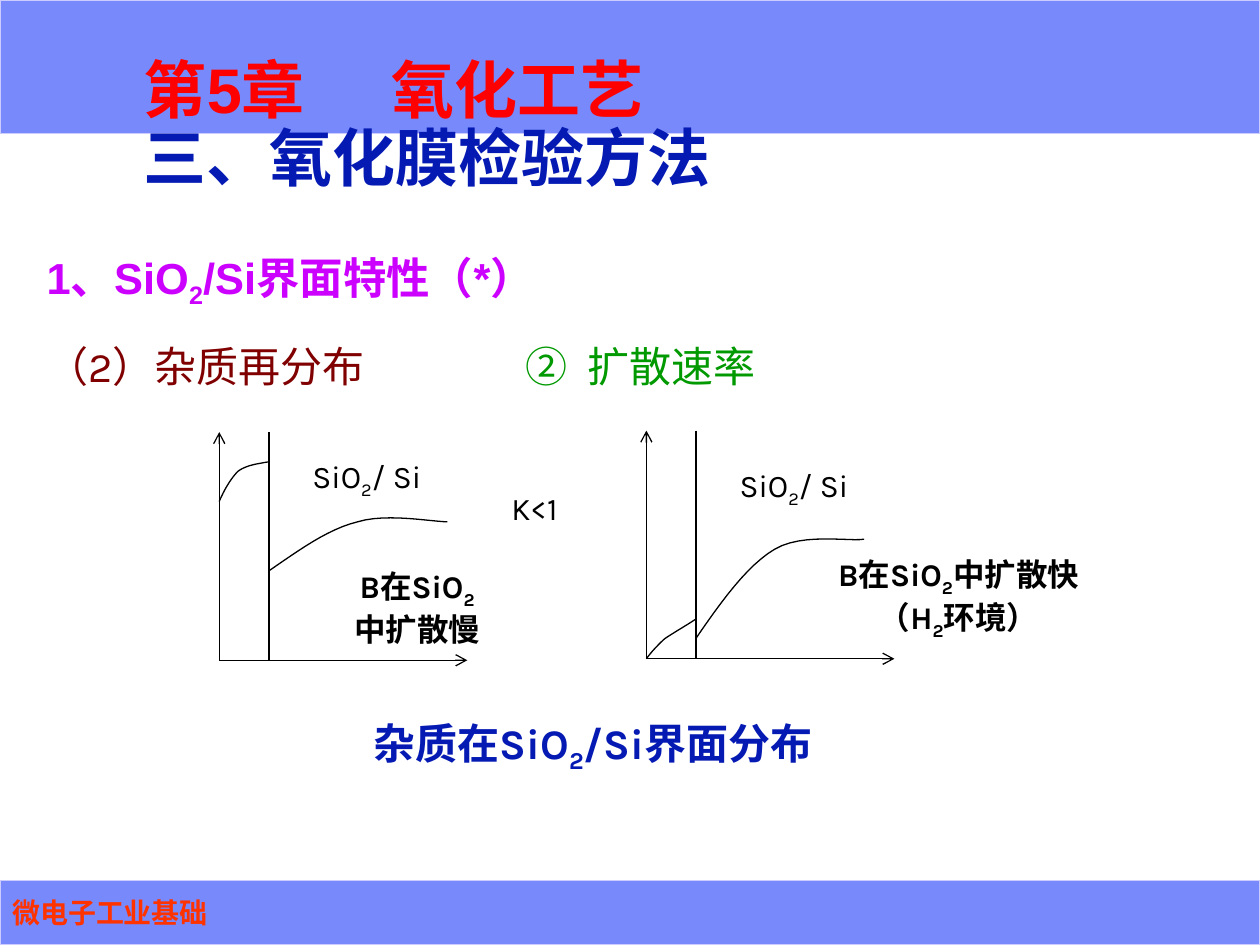
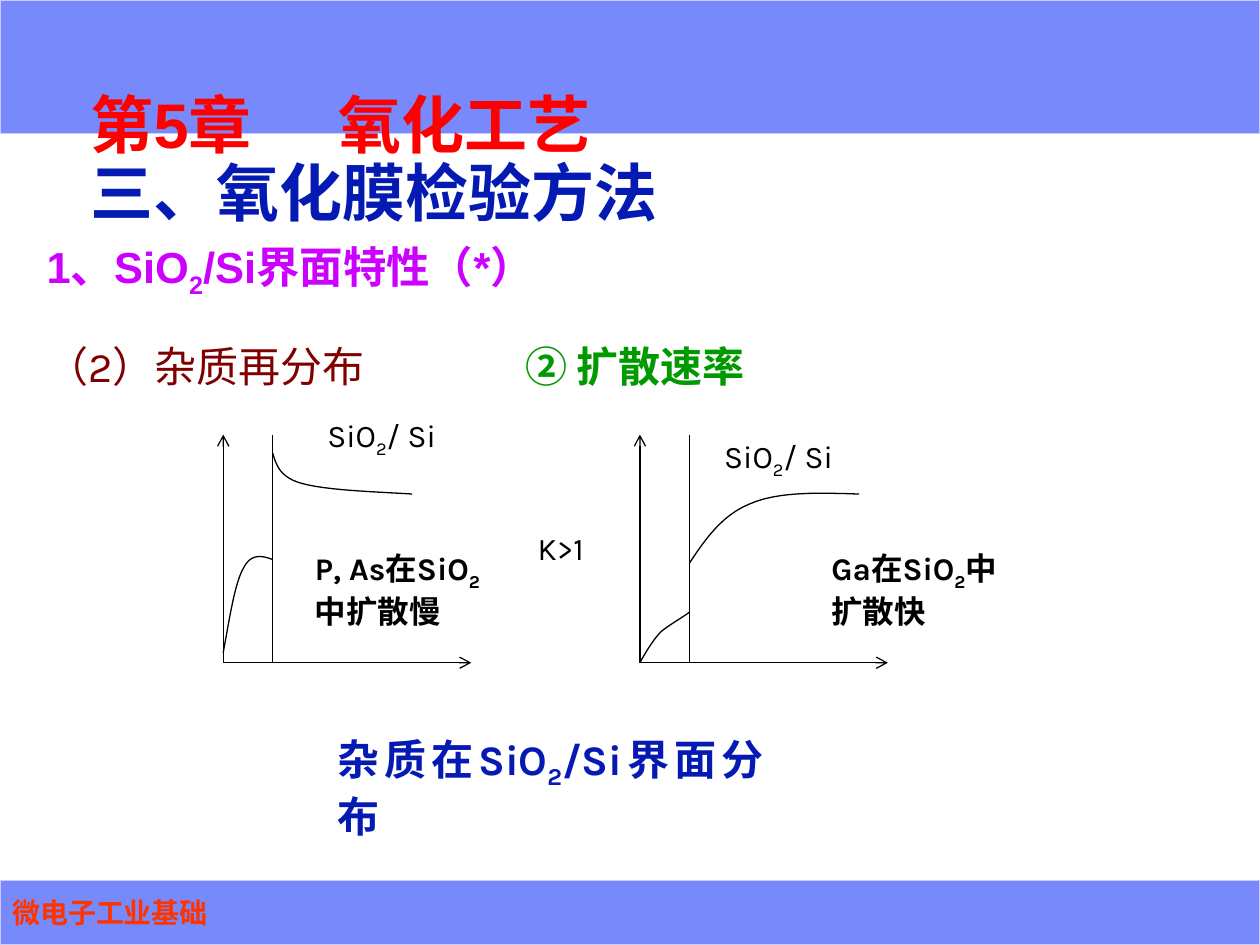
from lxml import etree
from pptx import Presentation
from pptx.dml.color import RGBColor
from pptx.enum import shapes, text
from pptx.oxml import ns
from pptx.util import Cm, Pt

BAND = RGBColor(0x78, 0x89, 0xFB)
BAND_EDGE = RGBColor(0xCC, 0xCC, 0xFF)
ORANGE = RGBColor(0xFF, 0x33, 0x00)
RED = RGBColor(0xFF, 0x00, 0x00)
NAVY = RGBColor(0x05, 0x1A, 0xB3)
PURPLE = RGBColor(0xCC, 0x00, 0xFF)
MAROON = RGBColor(0x80, 0x00, 0x00)
GREEN = RGBColor(0x00, 0x99, 0x00)
BLACK = RGBColor(0x00, 0x00, 0x00)

HEADING_FONT, BODY_FONT = "Arial", "Karla"
SLIDE_W, SLIDE_H = 25.4, 19.05
AXIS_W, AXIS_H, INTERFACE_X = 5, 4.6, 1
LINE_W = Pt(0.75)


def add_runs(p, content):
    """Add content to a paragraph, setting each ₂ as a subscript 2."""
    runs = []
    for i, part in enumerate(content.split("₂")):
        if i:
            r = p.add_run()
            r.text = "2"
            r._r.get_or_add_rPr().set("baseline", "-25000")
            runs.append(r)
        if part:
            r = p.add_run()
            r.text = part
            runs.append(r)
    return runs


def add_tabs(p, stops):
    tabs = etree.SubElement(p._p.get_or_add_pPr(), ns.qn("a:tabLst"))
    for stop in stops:
        etree.SubElement(tabs, ns.qn("a:tab"), pos=str(Cm(stop)), algn="l")


def set_font(font, size, name, color=None, bold=False):
    font.size, font.name, font.bold = Pt(size), name, bold
    if color is not None:
        font.color.rgb = color


def add_box(s, x, y, w, h):
    """Add an empty wrapping text box and return its frame and paragraph."""
    tf = s.shapes.add_textbox(Cm(x), Cm(y), Cm(w), Cm(h)).text_frame
    tf.word_wrap = True
    return tf, tf.paragraphs[0]


def add_label(s, x, y, w, h, content, size=18, color=BLACK, bold=False,
              align=text.PP_ALIGN.LEFT, font=BODY_FONT):
    tf, p = add_box(s, x, y, w, h)
    p.alignment = align
    set_font(p.font, size, font, color, bold)
    add_runs(p, content)


def add_band(s, y, h):
    sp = s.shapes.add_shape(shapes.MSO_SHAPE.RECTANGLE, 0, Cm(y), Cm(SLIDE_W), Cm(h))
    sp.shadow.inherit = False
    sp.fill.solid()
    sp.fill.fore_color.rgb = BAND
    sp.line.color.rgb = BAND_EDGE
    sp.line.width = LINE_W
    return sp


def add_bands(s):
    add_band(s, 0, 2.69)
    tf = add_band(s, 17.75, 1.3).text_frame
    tf.vertical_anchor = text.MSO_ANCHOR.MIDDLE
    p = tf.paragraphs[0]
    p.alignment = text.PP_ALIGN.LEFT
    set_font(p.font, 16, HEADING_FONT, ORANGE, True)
    add_runs(p, "微电子工业基础")


def add_title(s, x, y):
    tf, p = add_box(s, x, y, 18.95, 0.61)
    tf.vertical_anchor = text.MSO_ANCHOR.BOTTOM
    tf.margin_left = tf.margin_right = tf.margin_top = tf.margin_bottom = 0
    p.line_spacing = 0.9
    add_tabs(p, [5])
    set_font(p.font, 36, HEADING_FONT, bold=True)
    chapter = add_runs(p, "第5章\t氧化工艺")
    p.add_line_break()
    section = add_runs(p, "三、氧化膜检验方法")
    for runs, color in ((chapter, RED), (section, NAVY)):
        for r in runs:
            r.font.color.rgb = color


def add_topic(s, rate, rate_bold):
    """Add the line with the topic on the left and the rate item after a tab."""
    tf, p = add_box(s, 0.69, 6.73, 20.95, 1.27)
    add_tabs(p, [9.65, 10.9])
    set_font(p.font, 24, BODY_FONT)
    for content, color, bold in (("（2）杂质再分布\t", MAROON, False),
                                 (rate, GREEN, rate_bold)):
        for r in add_runs(p, content):
            r.font.color.rgb = color
            r.font.bold = bold


def add_line(s, x1, y1, x2, y2, arrow=False):
    c = s.shapes.add_connector(shapes.MSO_CONNECTOR.STRAIGHT,
                               Cm(x1), Cm(y1), Cm(x2), Cm(y2))
    c.line.color.rgb = BLACK
    c.line.width = LINE_W
    if arrow:
        etree.SubElement(c.line._get_or_add_ln(), ns.qn("a:tailEnd"), type="arrow")
    etree.SubElement(c._element.spPr, ns.qn("a:effectLst"))


def bezier_points(knots, steps=12):
    """Sample chained cubic Bezier segments given as start, then triples."""
    points = [knots[0]]
    for i in range(0, len(knots) - 1, 3):
        for step in range(1, steps + 1):
            t = step / steps
            weights = ((1 - t) ** 3, 3 * t * (1 - t) ** 2, 3 * t * t * (1 - t), t ** 3)
            points.append(tuple(sum(w * k[axis] for w, k in zip(weights, knots[i:i + 4]))
                                for axis in (0, 1)))
    return points


def add_curve(s, x, y, knots):
    """Draw a curve whose knots are cm right of and above the origin x, y."""
    points = [(Cm(x + dx), Cm(y - dy)) for dx, dy in bezier_points(knots)]
    builder = s.shapes.build_freeform(*points[0])
    builder.add_line_segments(points[1:], close=False)
    sp = builder.convert_to_shape()
    sp.shadow.inherit = False
    sp.fill.background()
    sp.line.color.rgb = BLACK
    sp.line.width = LINE_W


def add_plot(s, x, y, oxide, silicon):
    """Draw the axes from origin x, y, the interface and both profiles."""
    add_line(s, x, y, x + AXIS_W, y, arrow=True)
    add_line(s, x, y, x, y - AXIS_H, arrow=True)
    add_line(s, x + INTERFACE_X, y - AXIS_H, x + INTERFACE_X, y)
    add_curve(s, x, y, oxide)
    add_curve(s, x, y, silicon)


def add_base(prs, title_at, heading_y, rate, rate_bold, caption_box):
    """Start a slide with everything that both slides share."""
    s = prs.slides.add_slide(prs.slide_layouts[6])
    add_bands(s)
    add_topic(s, rate, rate_bold)
    add_label(s, *caption_box, "杂质在SiO₂/Si界面分布", 24, NAVY, True,
              text.PP_ALIGN.JUSTIFY)
    add_title(s, *title_at)
    add_label(s, 0.69, heading_y, 15.2, 1.47, "1、SiO₂/Si界面特性（*）", 24.8, PURPLE,
              True, text.PP_ALIGN.JUSTIFY, HEADING_FONT)
    return s


def add_interface_labels(s, *corners):
    for x, y in corners:
        add_label(s, x, y, 3.2, 1.12, "SiO₂/ Si")


def boron_slide(prs):
    s = add_base(prs, (2.9, 3.33), 4.93, "②\t扩散速率", False, (7.29, 14.33, 10.44, 1.42))
    add_plot(s, 4.42, 13.31,
             [(0, 3.2), (0.1, 3.43), (0.23, 3.66), (0.38, 3.81),
              (0.56, 3.94), (0.79, 3.96), (1, 4)],
             [(1, 1.8), (1.6, 2.21), (2.18, 2.64), (2.79, 2.79),
              (3.38, 2.97), (4.29, 2.79), (4.6, 2.79)])
    add_plot(s, 13.03, 13.28,
             [(0, 0), (0.1, 0.13), (0.23, 0.28), (0.38, 0.41),
              (0.56, 0.53), (0.79, 0.66), (1, 0.8)],
             [(1, 0.41), (1.5, 1.14), (2.03, 1.88), (2.59, 2.21),
              (3.15, 2.54), (4.09, 2.36), (4.39, 2.41)])
    add_interface_labels(s, (6.05, 9.09), (14.66, 9.27))
    add_label(s, 10.06, 9.73, 1.83, 1.02, "K<1")
    center = text.PP_ALIGN.CENTER
    add_label(s, 6.81, 11.3, 3.2, 1.88, "B在SiO₂中扩散慢", bold=True, align=center)
    add_label(s, 16.43, 11.07, 5.79, 1.98, "B在SiO₂中扩散快（H₂环境）", bold=True,
              align=center)


def donor_slide(prs):
    s = add_base(prs, (1.83, 4.04), 4.72, "② 扩散速率", True, (6.55, 14.66, 9.09, 2.44))
    add_plot(s, 4.5, 13.36,
             [(0, 0.2), (0.13, 0.89), (0.23, 1.6), (0.41, 1.91),
              (0.56, 2.21), (0.79, 2.16), (1, 2.08)],
             [(1, 4.22), (1.07, 3.99), (1.14, 3.73), (1.6, 3.61),
              (2.08, 3.48), (2.95, 3.45), (3.81, 3.4)])
    add_plot(s, 12.9, 13.36,
             [(0, 0), (0.13, 0.23), (0.25, 0.43), (0.41, 0.61),
              (0.58, 0.76), (0.91, 0.94), (1, 1.02)],
             [(1, 2.01), (1.32, 2.49), (1.65, 2.97), (2.21, 3.2),
              (2.77, 3.45), (3.58, 3.43), (4.42, 3.4)])
    add_interface_labels(s, (6.35, 8.26), (14.35, 8.69))
    add_label(s, 10.59, 10.54, 1.83, 1.02, "K>1")
    add_label(s, 6.1, 10.95, 4.39, 1.88, "P, As在SiO₂中扩散慢", bold=True)
    add_label(s, 16.51, 10.95, 3.99, 1.88, "Ga在SiO₂中扩散快", bold=True)


def main():
    prs = Presentation()
    prs.slide_width, prs.slide_height = Cm(SLIDE_W), Cm(SLIDE_H)
    boron_slide(prs)
    donor_slide(prs)
    prs.save("out.pptx")


if __name__ == "__main__":
    main()
